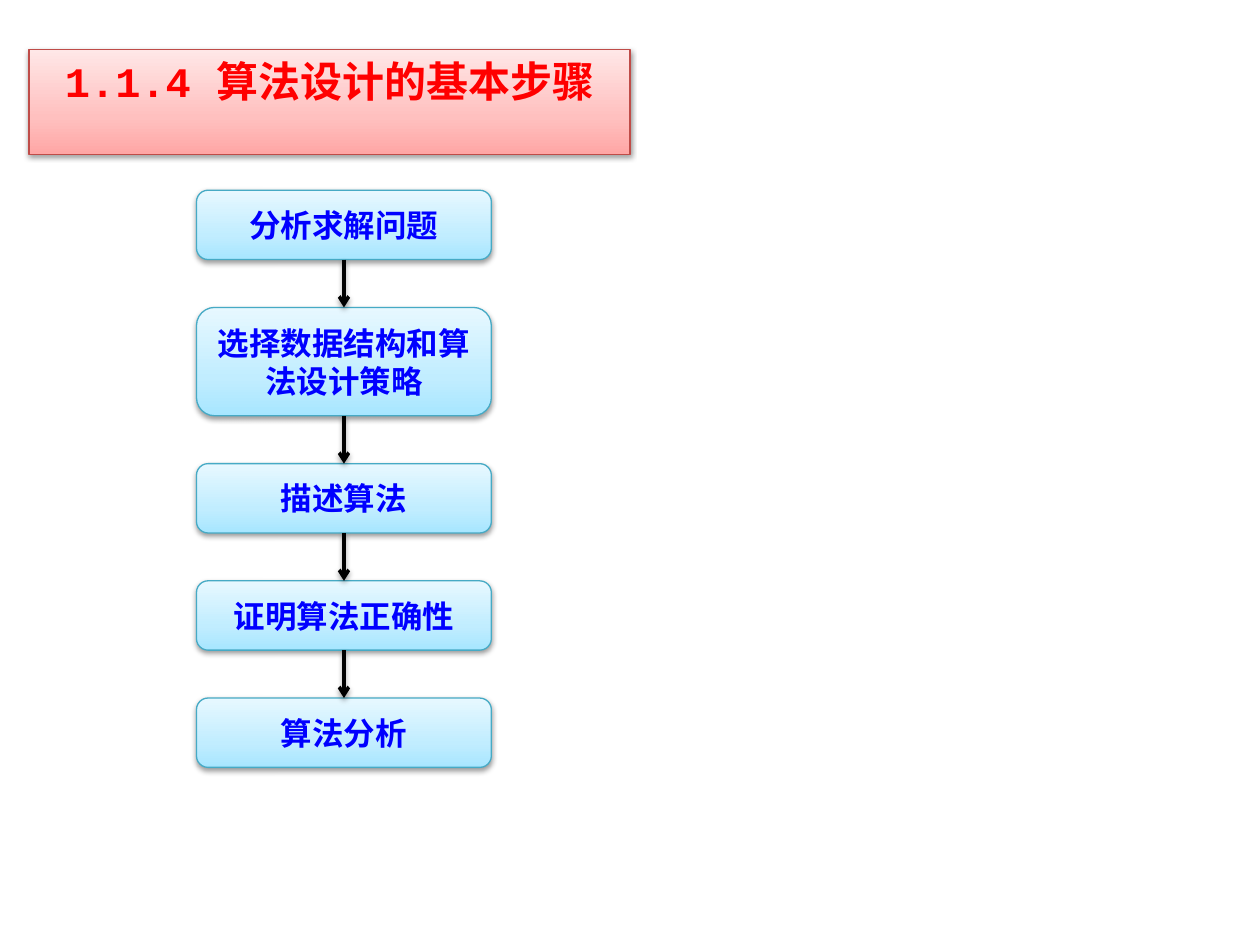
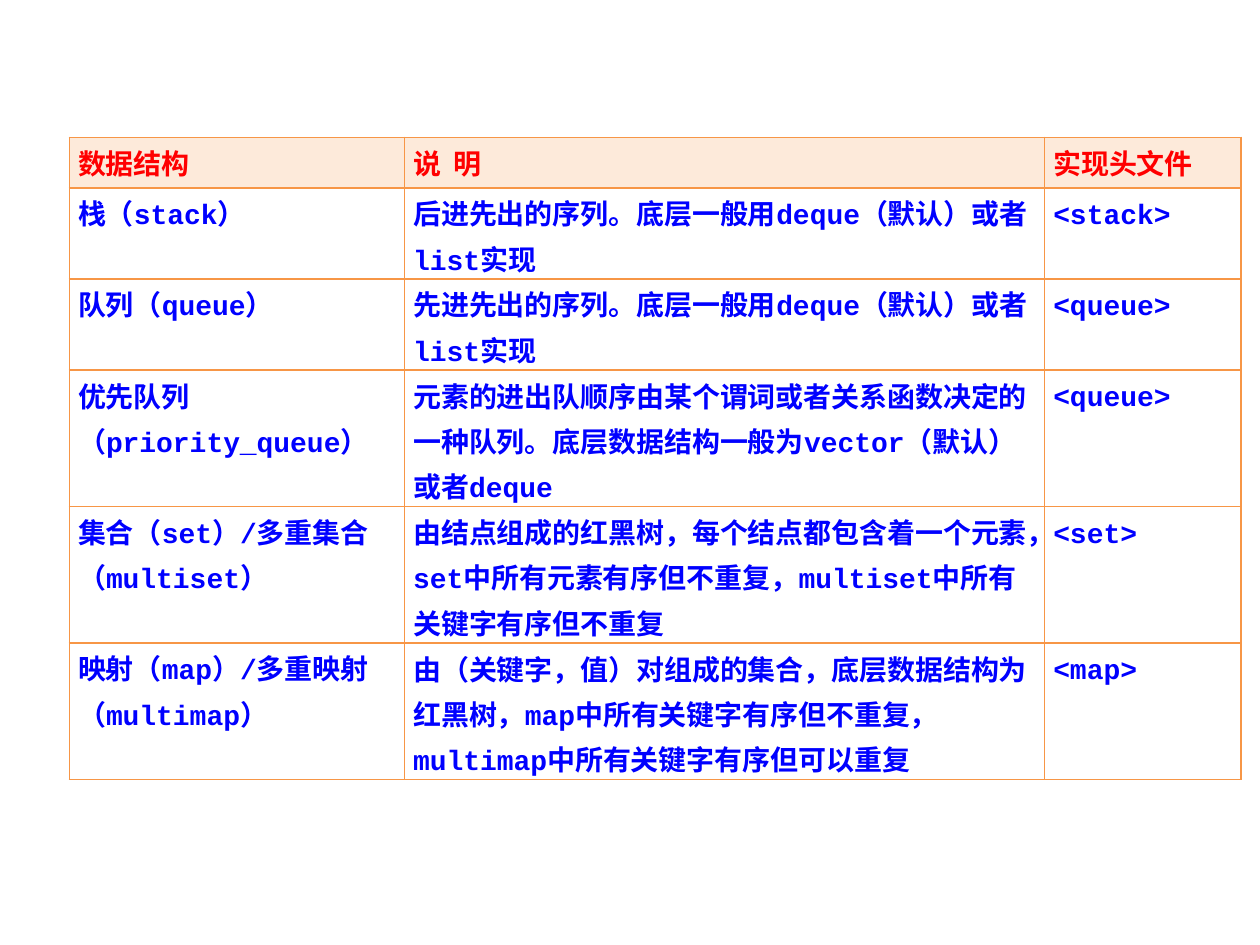
from copy import deepcopy

from lxml.etree import SubElement
from pptx import Presentation
from pptx.dml.color import RGBColor
from pptx.enum.shapes import MSO_CONNECTOR, MSO_SHAPE
from pptx.enum.text import MSO_ANCHOR, MSO_AUTO_SIZE, PP_ALIGN as Align
from pptx.oxml.ns import qn
from pptx.util import Emu, Inches, Pt

COLORS = {
    "red": "FF0000",
    "blue": "0000FF",
    "black": "000000",
    "white": "FFFFFF",
    "title_line": "BF4C48",
    "step_line": "46AAC5",
    "grid": "F79646",
    "header": "FDEADA",
}
TITLE_GRADIENT = ("FFA6A5", "FFC0BF", "FFE7E7")
STEP_GRADIENT = ("A7E6FF", "C1EDFF", "E7F8FF")
GRADIENT_POSITIONS = (0, 0.35, 1)
TITLE_ONLY, BLANK = 5, 6
CJK, MONO, SERIF = "Noto Sans CJK SC", "Courier New", "Times New Roman"

# Step text and the height of its box
STEPS = [
    ("分析求解问题", 0.55),
    ("选择数据结构和算法设计策略", 0.86),
    ("描述算法", 0.55),
    ("证明算法正确性", 0.55),
    ("算法分析", 0.55),
]
STEP_LEFT, STEP_TOP, STEP_WIDTH, STEP_GAP = 1.56, 1.51, 2.34, 0.38

COLUMN_WIDTHS = (2.66, 5.08, 1.56)
HEADER_HEIGHT, LINE_HEIGHT = 0.4, 0.36
HEADER = ("数据结构", "说  明", "实现头文件")
# Structure, description, header file, number of text lines
CONTAINERS = [
    ("栈（stack）", "后进先出的序列。底层一般用deque（默认）或者list实现", "<stack>", 2),
    ("队列（queue）", "先进先出的序列。底层一般用deque（默认）或者list实现", "<queue>", 2),
    ("优先队列（priority_queue）",
     "元素的进出队顺序由某个谓词或者关系函数决定的一种队列。"
     "底层数据结构一般为vector（默认）或者deque", "<queue>", 3),
    ("集合（set）/多重集合（multiset）",
     "由结点组成的红黑树，每个结点都包含着一个元素，"
     "set中所有元素有序但不重复，multiset中所有关键字有序但不重复", "<set>", 3),
    ("映射（map）/多重映射（multimap）",
     "由（关键字，值）对组成的集合，底层数据结构为红黑树，"
     "map中所有关键字有序但不重复，multimap中所有关键字有序但可以重复", "<map>", 3),
]


def rgb(name):
    return RGBColor.from_string(COLORS[name])


def add_xml(parent, tag, **attributes):
    return SubElement(parent, qn(tag), attributes)


class Deck:
    def __init__(self):
        self.presentation = Presentation()
        self.presentation.slide_width = Inches(10)
        self.presentation.slide_height = Inches(7.5)
        self.slide = None

    def new_slide(self, layout):
        self.slide = self.presentation.slides.add_slide(
            self.presentation.slide_layouts[layout])

    def add_text(self, frame, text, size, font, color, align):
        paragraph = frame.paragraphs[0]
        paragraph.alignment = align
        run = paragraph.add_run()
        run.text = text
        run.font.size, run.font.bold, run.font.name = Pt(size), True, font
        run.font.color.rgb = rgb(color)
        add_xml(run.font._element, "a:ea", typeface=CJK)
        return paragraph

    def cast_shadow(self, shape):
        """Add the soft downward shadow; call after fill and line are set."""
        effects = add_xml(shape._element.spPr, "a:effectLst")
        shadow = add_xml(effects, "a:outerShdw", blurRad=str(Pt(3.1)),
                         dist=str(Pt(1.6)), dir="5400000", rotWithShape="0")
        color = add_xml(shadow, "a:srgbClr", val=COLORS["black"])
        add_xml(color, "a:alpha", val="38000")

    def glaze(self, shape, gradient, line):
        """Give a shape its vertical gradient, thin outline and shadow."""
        shape.fill.gradient()
        shape.fill.gradient_angle = 90
        stop_list = shape._element.spPr.find(".//" + qn("a:gsLst"))
        stop_list.insert(1, deepcopy(stop_list[0]))
        stops = zip(shape.fill.gradient_stops, gradient, GRADIENT_POSITIONS)
        for stop, color, position in stops:
            stop.color.rgb = RGBColor.from_string(color)
            stop.position = position
        shape.line.color.rgb = rgb(line)
        shape.line.width = Pt(0.75)
        self.cast_shadow(shape)

    def title(self, text, left, top, width, height):
        title = self.slide.shapes.title
        title.left, title.top = Inches(left), Inches(top)
        title.width, title.height = Inches(width), Inches(height)
        self.glaze(title, TITLE_GRADIENT, "title_line")
        frame = title.text_frame
        frame.word_wrap = True
        frame.auto_size = MSO_AUTO_SIZE.SHAPE_TO_FIT_TEXT
        frame.vertical_anchor = MSO_ANCHOR.TOP
        self.add_text(frame, text, 24, MONO, "red", Align.CENTER)

    def step(self, text, top, height):
        step = self.slide.shapes.add_shape(
            MSO_SHAPE.ROUNDED_RECTANGLE, Inches(STEP_LEFT), Inches(top),
            Inches(STEP_WIDTH), Inches(height))
        self.glaze(step, STEP_GRADIENT, "step_line")
        frame = step.text_frame
        frame.word_wrap = True
        frame.vertical_anchor = MSO_ANCHOR.MIDDLE
        self.add_text(frame, text, 18, CJK, "blue", Align.CENTER)
        return step

    def arrow(self, upper, lower):
        arrow = self.slide.shapes.add_connector(
            MSO_CONNECTOR.STRAIGHT, Emu(0), Emu(0), Emu(0), Emu(0))
        arrow.begin_connect(upper, 2)
        arrow.end_connect(lower, 0)
        arrow.line.color.rgb = rgb("black")
        arrow.line.width = Pt(2)
        add_xml(arrow._element.spPr.find(qn("a:ln")), "a:tailEnd", type="arrow")
        self.cast_shadow(arrow)

    def cell(self, cell, text, font, color, fill, align):
        cell.margin_left = cell.margin_right = Inches(0.07)
        cell.margin_top = cell.margin_bottom = 0
        properties = cell._tc.get_or_add_tcPr()
        for side in "LRTB":
            border = add_xml(properties, f"a:ln{side}", w=str(Pt(1)))
            add_xml(add_xml(border, "a:solidFill"), "a:srgbClr", val=COLORS["grid"])
        cell.fill.solid()
        cell.fill.fore_color.rgb = rgb(fill)
        paragraph = self.add_text(cell.text_frame, text, 16, font, color, align)
        paragraph.line_spacing = Pt(26)

    def table(self, left, top, header, rows, heights):
        table = self.slide.shapes.add_table(
            len(rows) + 1, len(header), Inches(left), Inches(top),
            Inches(sum(COLUMN_WIDTHS)), Inches(sum(heights))).table
        table.first_row = table.horz_banding = False
        for column, width in zip(table.columns, COLUMN_WIDTHS):
            column.width = Inches(width)
        for row, height in zip(table.rows, heights):
            row.height = Inches(height)
        for col, text in enumerate(header):
            self.cell(table.cell(0, col), text, SERIF, "red", "header", Align.JUSTIFY)
        aligns = (Align.LEFT, Align.LEFT, Align.JUSTIFY)
        for row, texts in enumerate(rows, 1):
            for col, (text, align) in enumerate(zip(texts, aligns)):
                self.cell(table.cell(row, col), text, MONO, "blue", "white", align)


def build_design_steps(deck):
    deck.new_slide(TITLE_ONLY)
    deck.title("1.1.4 算法设计的基本步骤", 0.23, 0.39, 4.77, 0.5)
    steps = []
    top = STEP_TOP
    for text, height in STEPS:
        steps.append(deck.step(text, top, height))
        top += height + STEP_GAP
    for upper, lower in zip(steps, steps[1:]):
        deck.arrow(upper, lower)


def build_container_table(deck):
    deck.new_slide(BLANK)
    heights = [HEADER_HEIGHT] + [LINE_HEIGHT * lines for *_, lines in CONTAINERS]
    deck.table(0.55, 1.09, HEADER, [texts for *texts, _ in CONTAINERS], heights)


def main():
    deck = Deck()
    build_design_steps(deck)
    build_container_table(deck)
    deck.presentation.save("out.pptx")


if __name__ == "__main__":
    main()
